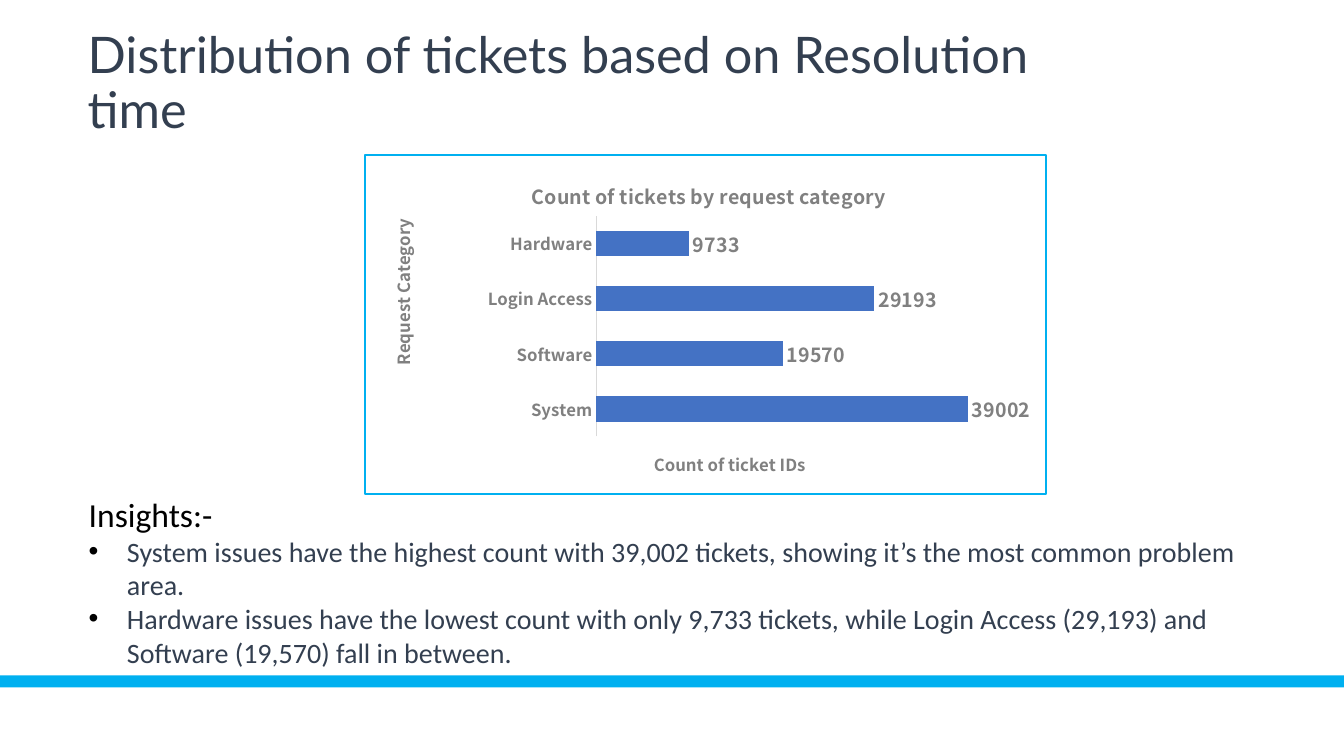
from pptx import Presentation
from pptx.chart.data import CategoryChartData
from pptx.dml.color import RGBColor
from pptx.enum.chart import XL_CHART_TYPE as ChartType, XL_LABEL_POSITION as LabelPosition, XL_TICK_MARK as TickMark
from pptx.enum.shapes import MSO_SHAPE as Preset
from pptx.oxml import parse_xml
from pptx.oxml.ns import nsdecls, qn
from pptx.util import Inches, Pt

COLORS = {"band": "00B0F0", "text": "333F50", "black": "000000",
          "gray": "808080", "axis": "D9D9D9", "bar": "4472C4"}


def style(font, name, size, color, bold=False):
    font.name, font.size, font.bold = name, Pt(size), bold
    font.color.rgb = RGBColor.from_string(COLORS[color])


def place(parent, index, **values):
    for layout in parent.findall(qn("c:layout")):
        parent.remove(layout)
    target = '<c:layoutTarget val="inner"/>' if "w" in values else ""
    modes = "".join(f'<c:{key}Mode val="edge"/>' for key in "xy")
    sizes = "".join(f'<c:{key} val="{value}"/>' for key, value in values.items())
    parent.insert(index, parse_xml(
        f'<c:layout {nsdecls("c")}><c:manualLayout>{target}{modes}{sizes}</c:manualLayout></c:layout>'))


presentation = Presentation()
presentation.slide_width, presentation.slide_height = Inches(13.33), Inches(7.5)
slide = presentation.slides.add_slide(presentation.slide_layouts[6])

band = slide.shapes.add_shape(Preset.RECTANGLE, 0, Inches(6.7), Inches(13.33), Inches(0.12))
band.shadow.inherit = False
band.fill.solid()
band.fill.fore_color.rgb = RGBColor.from_string(COLORS["band"])
band.line.fill.background()

title_box = slide.shapes.add_textbox(Inches(0.8), Inches(0.27), Inches(10.03), Inches(0.82))
title_frame = title_box.text_frame
title_frame.word_wrap = True
title_frame.margin_left = title_frame.margin_right = Inches(0.07)
title_frame.margin_top = title_frame.margin_bottom = Inches(0.03)
title_frame.text = "Distribution of tickets based on Resolution time"
title_frame.paragraphs[0].line_spacing = 0.9
style(title_frame.paragraphs[0].runs[0].font, "Lato", 36, "text")

chart_data = CategoryChartData(number_format="0")
chart_data.categories = ["System", "Software", "Login Access", "Hardware"]
chart_data.add_series("Series 1", [39002, 19570, 29193, 9733])
chart = slide.shapes.add_chart(ChartType.BAR_CLUSTERED, Inches(3.61), Inches(1.53),
                               Inches(6.77), Inches(3.38), chart_data).chart
chart_font = "Noto Sans CJK SC"
style(chart.font, chart_font, 14, "gray", True)
chart.has_legend = False

plot = chart.plots[0]
plot.gap_width = 116
plot.vary_by_categories = False
bars = plot.series[0].format.fill
bars.solid()
bars.fore_color.rgb = RGBColor.from_string(COLORS["bar"])
plot.has_data_labels = True
labels = plot.data_labels
labels.show_value = True
labels.position = LabelPosition.OUTSIDE_END
labels.number_format, labels.number_format_is_linked = "0", False
style(labels.font, chart_font, 14, "gray", True)

category_axis, value_axis = chart.category_axis, chart.value_axis
category_axis.major_tick_mark = category_axis.minor_tick_mark = TickMark.NONE
category_axis.format.line.color.rgb = RGBColor.from_string(COLORS["axis"])
category_axis.format.line.width = Pt(0.75)
style(category_axis.tick_labels.font, chart_font, 12, "gray", True)
value_axis.minimum_scale, value_axis.maximum_scale = 0, 45000
value_axis.has_major_gridlines = False
value_axis.visible = False

for heading, text, size, x, y in [
    (chart.chart_title, "Count of tickets by request category", 14, 0.24, 0.06),
    (category_axis.axis_title, "Request Category", 12, 0.03, 0.18),
    (value_axis.axis_title, "Count of ticket IDs", 12, 0.42, 0.86),
]:
    heading.text_frame.text = text
    style(heading.text_frame.paragraphs[0].runs[0].font, chart_font, size, "gray", True)
    place(heading._element, 1, x=x, y=y)

chart_element = chart._chartSpace.find(qn("c:chart"))
place(chart_element.find(qn("c:plotArea")), 0, x=0.34, y=0.18, w=0.63, h=0.65)
chart_element.addnext(parse_xml(
    f'<c:spPr {nsdecls("c", "a")}><a:noFill/><a:ln w="{Pt(1.25)}"><a:solidFill>'
    f'<a:srgbClr val="{COLORS["band"]}"/></a:solidFill></a:ln></c:spPr>'))

insights_box = slide.shapes.add_textbox(Inches(0.88), Inches(4.9), Inches(11.86), Inches(2.09))
insights = insights_box.text_frame
insights.word_wrap = True
insights.margin_left = insights.margin_right = insights.margin_top = insights.margin_bottom = 0
insights.text = "Insights:-"
style(insights.paragraphs[0].runs[0].font, "Calibri", 24, "black")
for insight in [
    "System issues have the highest count with 39,002 tickets, showing it’s the most common problem area.",
    "Hardware issues have the lowest count with only 9,733 tickets, while Login Access (29,193) "
    "and Software (19,570) fall in between.",
]:
    paragraph = insights.add_paragraph()
    paragraph.text = insight
    style(paragraph.runs[0].font, "Calibri", 20, "text")
    properties = paragraph._p.get_or_add_pPr()
    properties.set("marL", str(Inches(0.38)))
    properties.set("indent", str(-Inches(0.38)))
    properties.append(parse_xml(
        f'<a:buClr {nsdecls("a")}><a:srgbClr val="{COLORS["black"]}"/></a:buClr>'))
    properties.append(parse_xml(f'<a:buFont {nsdecls("a")} typeface="Arial"/>'))
    properties.append(parse_xml(f'<a:buChar {nsdecls("a")} char="•"/>'))

presentation.save("out.pptx")
